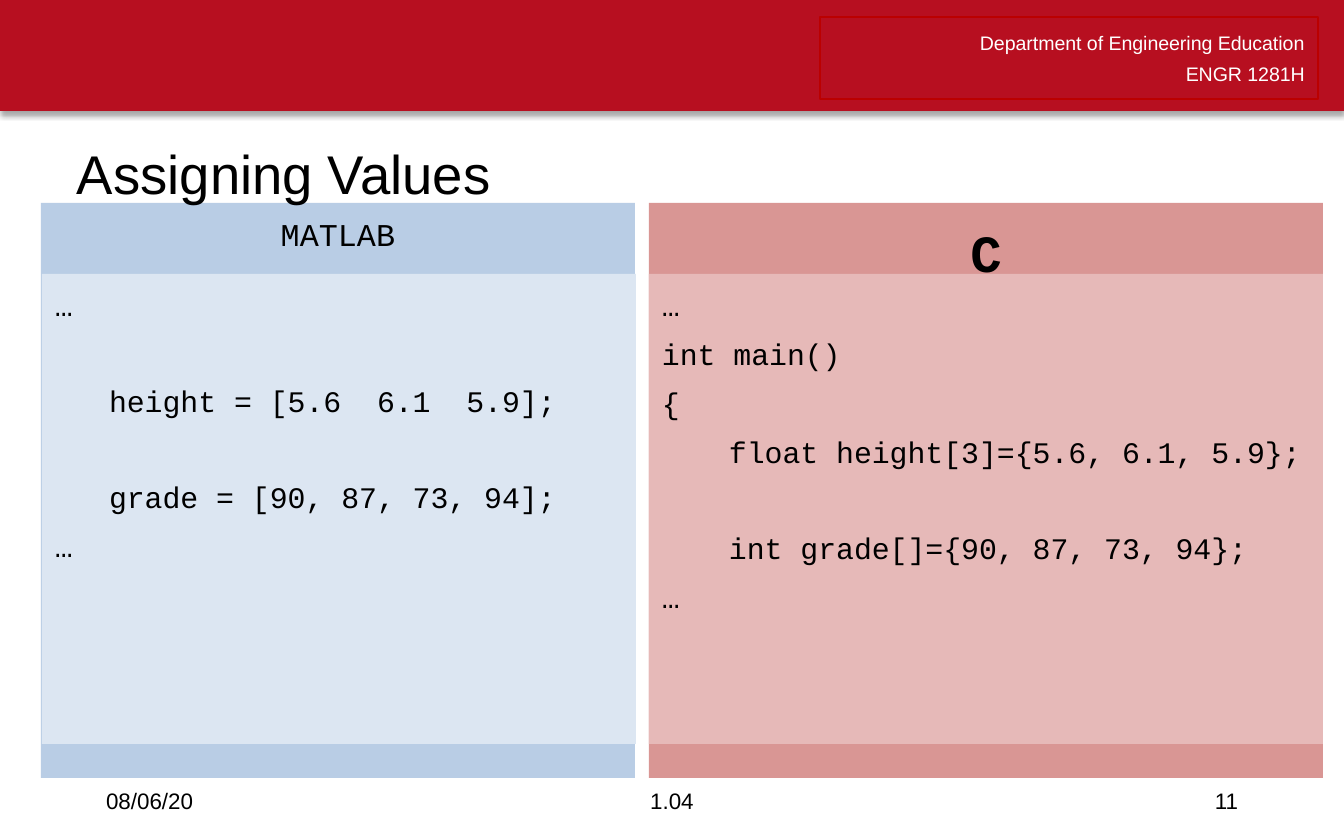
from lxml import etree
from pptx import Presentation
from pptx import util as u
from pptx.dml.color import RGBColor
from pptx.enum import shapes, text
from pptx.oxml.ns import qn

EMU_PER_PX = 914400 / 134.4
SANS, MONO = "Arial", "Courier New"
LEFT, CENTER, RIGHT = text.PP_ALIGN.LEFT, text.PP_ALIGN.CENTER, text.PP_ALIGN.RIGHT
MARGIN_X, MARGIN_Y = 13, 7
CODE_SIZE, CODE_GAP, CODE_PITCH = 16, 7, 25.1

MATLAB_CODE = ["…", "", "\theight = [5.6  6.1  5.9];", "",
               "\tgrade = [90, 87, 73, 94];", "…"]
C_CODE = ["…", "int main()", "{", "\tfloat height[3]={5.6, 6.1, 5.9};", "",
          "\tint grade[]={90, 87, 73, 94};", "…"]


def px(length):
    """Turn pixels into EMU."""
    return u.Emu(round(length * EMU_PER_PX))


def color(code):
    """Turn a hex string into a colour."""
    return RGBColor.from_string(code)


def add_panel(slide, box, fill=None, line=None):
    """Add a flat rectangle with optional fill and outline."""
    panel = slide.shapes.add_shape(shapes.MSO_SHAPE.RECTANGLE, *map(px, box))
    panel.shadow.inherit = False
    if fill:
        panel.fill.solid()
        panel.fill.fore_color.rgb = color(fill)
    else:
        panel.fill.background()
    if line:
        panel.line.color.rgb = color(line)
        panel.line.width = u.Pt(0.75)
    else:
        panel.line.fill.background()
    return panel


def add_label(slide, box):
    """Add an empty text box."""
    return slide.shapes.add_textbox(*map(px, box))


def write(holder, lines, size, font=SANS, ink="000000", align=LEFT, bold=False,
          top=MARGIN_Y, anchor=text.MSO_ANCHOR.TOP):
    """Write lines into a shape and return its paragraphs."""
    frame = holder.text_frame
    frame.word_wrap = True
    frame.vertical_anchor = anchor
    frame.margin_left = frame.margin_right = px(MARGIN_X)
    frame.margin_top, frame.margin_bottom = px(top), px(MARGIN_Y)
    frame.text = "\n".join(lines)
    for paragraph in frame.paragraphs:
        paragraph.alignment = align
        for run in paragraph.runs:
            run.font.size, run.font.name, run.font.bold = u.Pt(size), font, bold
            run.font.color.rgb = color(ink)
    return frame.paragraphs


def write_code(panel, code, indent):
    """Write code lines, with indents for tabs and spacing for empty lines."""
    lines = [line for line in code if line]
    paragraphs = write(panel, [line.strip() for line in lines], CODE_SIZE, MONO, top=13)
    gap, place = 0, 0
    for line in code:
        if not line:
            gap += CODE_PITCH
            continue
        paragraph = paragraphs[place]
        paragraph.space_before = u.Pt(gap)
        if line.startswith("\t"):
            properties = paragraph._p.get_or_add_pPr()
            properties.set("marL", str(px(indent)))
            properties.set("indent", "0")
        gap, place = CODE_GAP, place + 1


def add_banner(slide):
    """Add the red banner with its shadow and the department lines."""
    banner = add_panel(slide, (0, 0, 1344, 111), "B70F20")
    effects = banner._element.spPr.find(qn("a:effectLst"))
    shadow = etree.SubElement(effects, qn("a:outerShdw"), blurRad=str(u.Pt(3.1)),
                              dist=str(u.Pt(1.8)), dir="5400000", rotWithShape="0")
    black = etree.SubElement(shadow, qn("a:srgbClr"), val="000000")
    etree.SubElement(black, qn("a:alpha"), val="35000")

    department = add_panel(slide, (820, 17, 498, 82), line="BB0000")
    for paragraph in write(department, ["Department of Engineering Education", "ENGR 1281H"],
                           10.5, ink="FFFFFF", align=RIGHT):
        paragraph.line_spacing = u.Pt(16.4)


def add_language(slide, name, left, width, shades, heading, code, indent, shift=0):
    """Add one language column: heading panel and code panel."""
    size, bold, top = heading
    header = add_panel(slide, (left, 203, width, 575), shades[0])
    write(header, [name], size, MONO, align=CENTER, bold=bold, top=top)
    body = add_panel(slide, (left + shift, 274, width, 470), shades[1])
    write_code(body, code, indent)


def add_footer(slide):
    """Add date, lecture number and page number."""
    for words, left, width, align in (("08/06/20", 93, 302, LEFT),
                                      ("1.04", 445, 454, CENTER),
                                      ("11", 949, 302, RIGHT)):
        write(add_label(slide, (left, 778, width, 45)), [words], 12, align=align,
              anchor=text.MSO_ANCHOR.MIDDLE)


def main():
    """Build the slide and save it."""
    deck = Presentation()
    deck.slide_width, deck.slide_height = px(1344), px(840)
    slide = deck.slides.add_slide(deck.slide_layouts[6])
    add_banner(slide)
    add_language(slide, "MATLAB", 41, 594, ("B9CDE5", "DCE6F2"), (17, False, 12),
                 MATLAB_CODE, 54, shift=1)
    add_language(slide, "C", 649, 674, ("D99694", "E6B9B8"), (28, True, 17),
                 C_CODE, 67)
    write(add_label(slide, (64, 129, 1219, 95)), ["Assigning Values"], 29.2, top=11)
    add_footer(slide)
    deck.save("out.pptx")


main()
